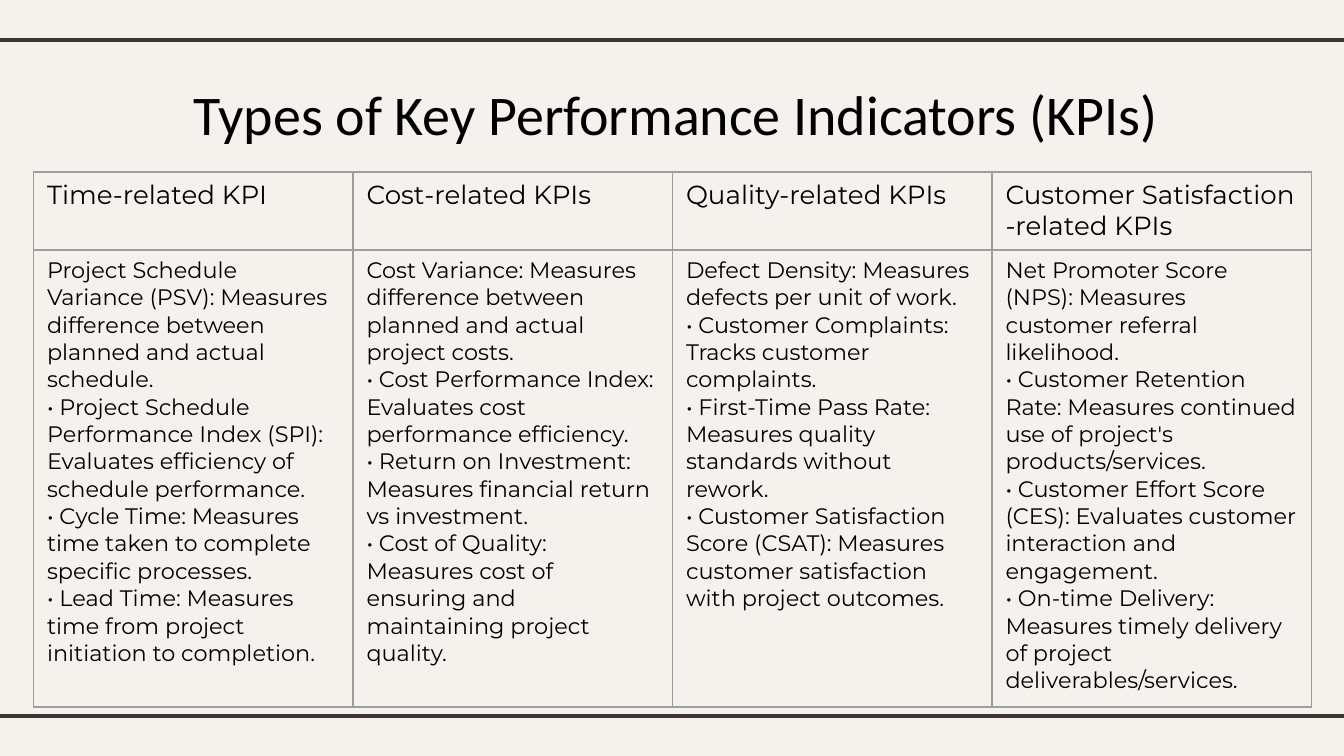
from dataclasses import dataclass

from lxml.etree import SubElement
from pptx import Presentation
from pptx.dml.color import RGBColor
from pptx.enum.shapes import MSO_CONNECTOR as Connector
from pptx.enum.text import MSO_ANCHOR as Anchor, PP_ALIGN as Align
from pptx.oxml.ns import qn
from pptx.util import Inches, Pt

COLORS = {"paper": "F5F2EE", "rule": "3F3533", "grid": "9E9E9E", "text": "000000"}
TITLE_FONT, TABLE_FONT = "Calibri", "Montserrat"
PAGE_WIDTH = 10
PAGE_HEIGHT = PAGE_WIDTH * 9 / 16


@dataclass
class KpiGroup:
    heading: str
    measures: list[str]


GROUPS = [
    KpiGroup("Time-related KPI", [
        "Project Schedule Variance (PSV): Measures difference between planned and actual schedule.",
        "• Project Schedule Performance Index (SPI): Evaluates efficiency of schedule performance.",
        "• Cycle Time: Measures time taken to complete specific processes.",
        "• Lead Time: Measures time from project initiation to completion.",
    ]),
    KpiGroup("Cost-related KPIs", [
        "Cost Variance: Measures difference between planned and actual project costs.",
        "• Cost Performance Index: Evaluates cost performance efficiency.",
        "• Return on Investment: Measures financial return vs investment.",
        "• Cost of Quality: Measures cost of ensuring and maintaining project quality.",
    ]),
    KpiGroup("Quality-related KPIs", [
        "Defect Density: Measures defects per unit of work.",
        "• Customer Complaints: Tracks customer complaints.",
        "• First-Time Pass Rate: Measures quality standards without rework.",
        "• Customer Satisfaction Score (CSAT): Measures customer satisfaction with project outcomes.",
    ]),
    KpiGroup("Customer Satisfaction -related KPIs", [
        "Net Promoter Score (NPS): Measures customer referral likelihood.",
        "• Customer Retention Rate: Measures continued use of project's products/services.",
        "• Customer Effort Score (CES): Evaluates customer interaction and engagement.",
        "• On-time Delivery: Measures timely delivery of project deliverables/services.",
    ]),
]


def rgb(name: str) -> RGBColor:
    return RGBColor.from_string(COLORS[name])


def write(frame, lines: list[str], font: str, size: float, align=Align.LEFT) -> None:
    """Fill a text frame with one paragraph per line."""
    for index, line in enumerate(lines):
        para = frame.add_paragraph() if index else frame.paragraphs[0]
        para.alignment = align
        span = para.add_run()
        span.text = line
        span.font.name = font
        span.font.size = Pt(size)
        span.font.color.rgb = rgb("text")


def add_rule(page, y: float) -> None:
    """Draw a rule across the full page width."""
    rule = page.shapes.add_connector(
        Connector.STRAIGHT, Inches(-0.08), Inches(y), Inches(10.08), Inches(y))
    rule.line.color.rgb = rgb("rule")
    rule.line.width = Pt(2.25)
    SubElement(rule._element.spPr, qn("a:effectLst"))


def add_title(page, text: str) -> None:
    box = page.shapes.add_textbox(Inches(0.82), Inches(0.49), Inches(8.42), Inches(0.63))
    frame = box.text_frame
    frame.word_wrap = True
    frame.vertical_anchor = Anchor.TOP
    frame.margin_left = frame.margin_right = Inches(0.1)
    frame.margin_top = frame.margin_bottom = Inches(0.1)
    write(frame, [text], TITLE_FONT, 30, Align.CENTER)


def outline_cell(cell) -> None:
    """Give a cell thin borders on all sides and no fill."""
    properties = cell._tc.get_or_add_tcPr()
    for side in ("lnL", "lnR", "lnT", "lnB"):
        border = SubElement(properties, qn(f"a:{side}"), w=str(Pt(0.75)))
        fill = SubElement(border, qn("a:solidFill"))
        SubElement(fill, qn("a:srgbClr"), val=COLORS["grid"])
    cell.fill.background()


def add_kpi_table(page, groups: list[KpiGroup]) -> None:
    """Draw one column per group: heading above, measures below."""
    table = page.shapes.add_table(
        2, len(groups), Inches(0.25), Inches(1.28), Inches(9.51), Inches(3.99)).table
    table.first_row = table.horz_banding = False
    for row, height in zip(table.rows, (0.58, 3.4)):
        row.height = Inches(height)
    for column, group in enumerate(groups):
        for row, (lines, size) in enumerate([([group.heading], 14), (group.measures, 12)]):
            cell = table.cell(row, column)
            outline_cell(cell)
            write(cell.text_frame, lines, TABLE_FONT, size)


def main() -> None:
    deck = Presentation()
    deck.slide_width, deck.slide_height = Inches(PAGE_WIDTH), Inches(PAGE_HEIGHT)
    page = deck.slides.add_slide(deck.slide_layouts[6])
    background = page.background.fill
    background.solid()
    background.fore_color.rgb = rgb("paper")

    # Rules at the head and foot of the page
    for y in (0.3, 5.33):
        add_rule(page, y)

    # Content
    add_title(page, "Types of Key Performance Indicators (KPIs)")
    add_kpi_table(page, GROUPS)
    deck.save("out.pptx")


if __name__ == "__main__":
    main()
